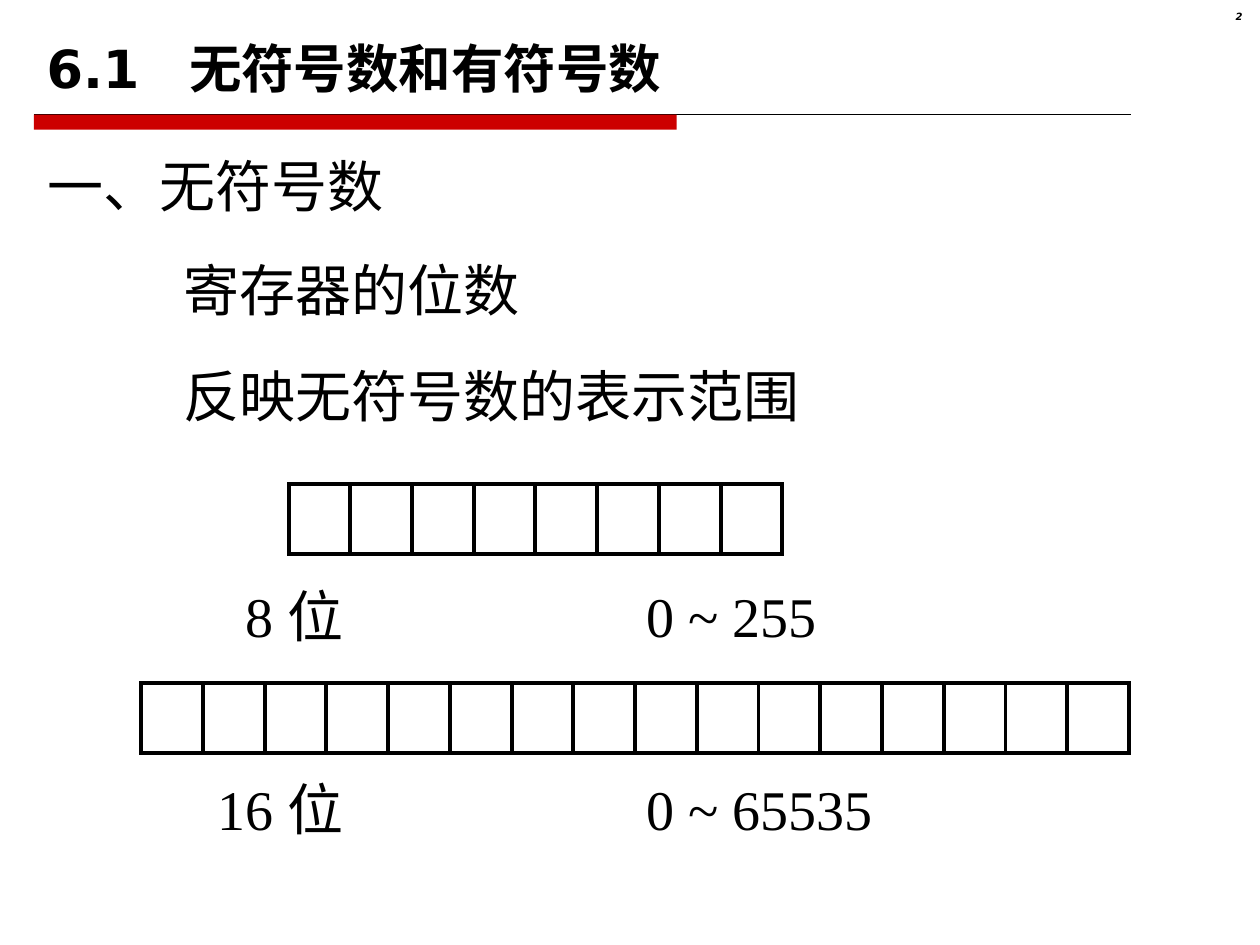
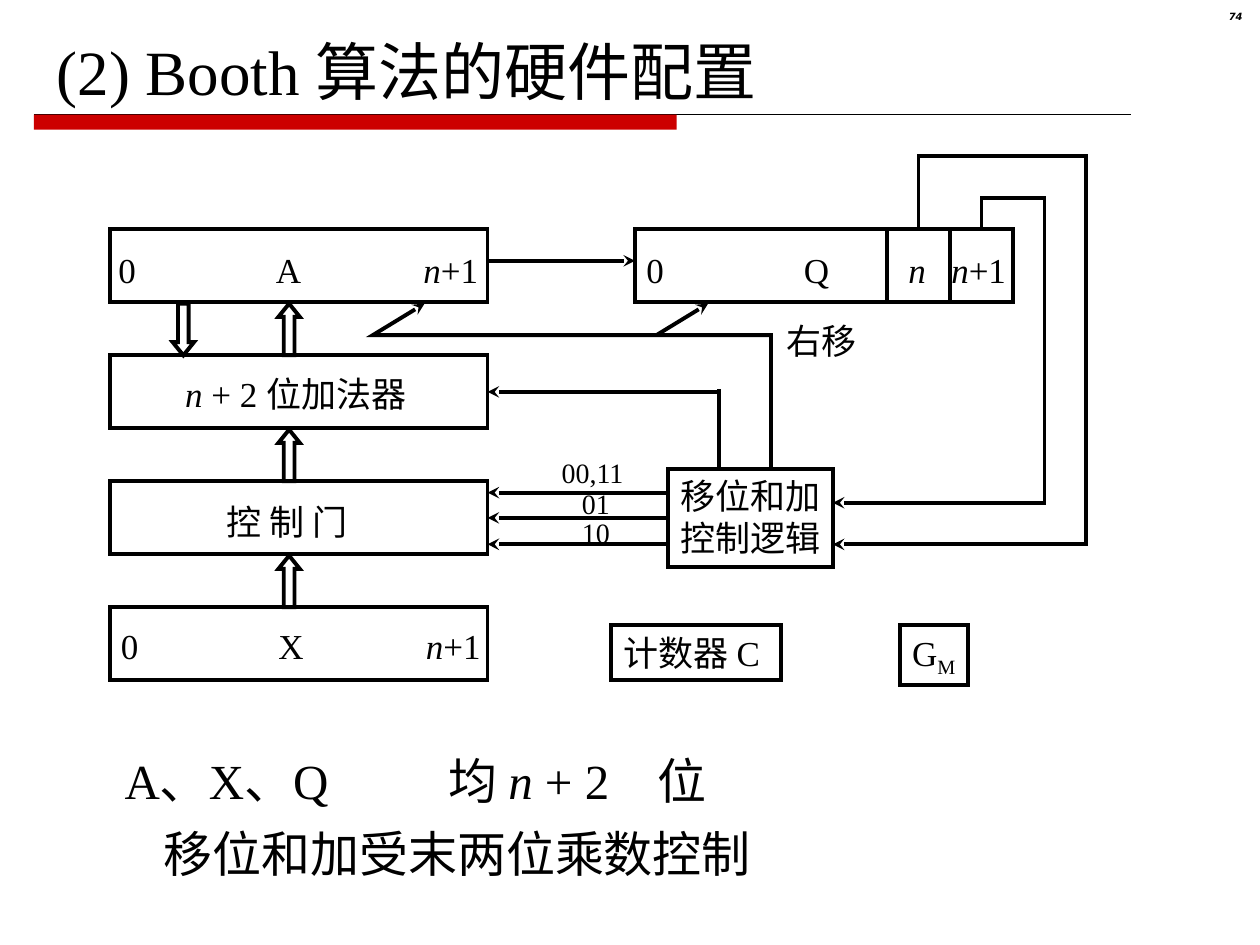
from dataclasses import dataclass

from lxml.etree import SubElement
from pptx import Presentation
from pptx.dml.color import RGBColor
from pptx.enum.shapes import MSO_CONNECTOR, MSO_SHAPE
from pptx.enum.text import MSO_ANCHOR, MSO_AUTO_SIZE, PP_ALIGN
from pptx.oxml.ns import qn
from pptx.util import Inches, Pt


@dataclass(frozen=True)
class Theme:
    """Colours, fonts and sizes that all slides share."""

    ink: RGBColor = RGBColor(0, 0, 0)
    accent: RGBColor = RGBColor(0xCC, 0, 0)
    serif: str = "Times New Roman"
    sans: str = "DejaVu Sans"
    section_title: float = 30
    topic_title: float = 36
    body: float = 32
    summary: float = 28
    label: float = 20
    code: float = 16
    number: float = 5.7
    stroke: float = 2.25
    hairline: float = 0.75


THEME = Theme()
LEFT, TOP = 0.87, 1.82
ROW_PITCH = 1.0
BOX_WIDTH, BOX_HEIGHT = 3.0, 0.58
BYTE_BITS = 8
BYTE_WIDTH, CELL_HEIGHT = 3.92, 0.56
CELL_WIDTH = BYTE_WIDTH / BYTE_BITS
Q_LEFT = 5.04
LOGIC_LEFT, LOGIC_TOP, LOGIC_WIDTH = 5.3, 3.72, 1.31
REGISTER_TABS = [(1.25, "l"), (2.42, "l")]


def inches(*values):
    """Turn numbers into a list of lengths."""
    return [Inches(value) for value in values]


def row_top(row):
    """Return the top edge of a row of the datapath."""
    return TOP + row * ROW_PITCH


def style_span(span, size, name=THEME.serif, bold=False, italic=False):
    """Format one run of text."""
    font = span.font
    font.size, font.name = Pt(size), name
    font.bold, font.italic = bold, italic
    font.color.rgb = THEME.ink


def set_tabs(para, stops):
    """Give a paragraph its tab stops, measured from the text edge."""
    tab_list = SubElement(para._p.get_or_add_pPr(), qn("a:tabLst"))
    for position, side in stops:
        SubElement(tab_list, qn("a:tab"), pos=str(Inches(position)), algn=side)


def write(box, text, size, tabs=(), name=THEME.serif, bold=False, inset=0.1):
    """Fill a box with lines of text; parts between asterisks are italic."""
    frame = box.text_frame
    frame.word_wrap = True
    frame.auto_size = MSO_AUTO_SIZE.NONE
    frame.vertical_anchor = MSO_ANCHOR.TOP
    frame.margin_left, frame.margin_right = inches(inset, 0)
    frame.margin_top = frame.margin_bottom = Inches(0.05)
    frame.text = text.replace("*", "")
    for para, line in zip(frame.paragraphs, text.split("\n")):
        para.alignment = PP_ALIGN.LEFT
        if tabs:
            set_tabs(para, tabs)
        para.text = ""
        for index, part in enumerate(line.split("*")):
            if part:
                span = para.add_run()
                span.text = part
                style_span(span, size, name, bold, index % 2 == 1)
    return frame


def add_text(page, place, text, size, **options):
    """Add a text box at left, top, width and height."""
    return write(page.shapes.add_textbox(*inches(*place)), text, size, **options)


def draw_outline(shape, width=THEME.stroke, arrow=False):
    """Give a shape or wire its ink line, with an arrowhead if asked."""
    shape.line.color.rgb = THEME.ink
    shape.line.width = Pt(width)
    line = shape._element.spPr.find(qn("a:ln"))
    SubElement(line, qn("a:miter"), lim="800000")
    if arrow:
        SubElement(line, qn("a:tailEnd"), type="stealth")


def add_box(page, place, kind=MSO_SHAPE.RECTANGLE):
    """Add an unfilled, outlined shape."""
    box = page.shapes.add_shape(kind, *inches(*place))
    box.shadow.inherit = False
    box.fill.background()
    draw_outline(box)
    return box


def add_wire(page, start, end, width=THEME.stroke, arrow=True):
    """Add a straight wire between two points."""
    wire = page.shapes.add_connector(MSO_CONNECTOR.STRAIGHT, *inches(*start, *end))
    draw_outline(wire, width, arrow)
    SubElement(wire._element.spPr, qn("a:effectLst"))
    return wire


def add_bent_wire(page, points):
    """Add a wire through several points, ending in an arrowhead."""
    start, *corners = [inches(*point) for point in points]
    builder = page.shapes.build_freeform(*start)
    builder.add_line_segments(corners, close=False)
    wire = builder.convert_to_shape()
    wire.shadow.inherit = False
    wire.fill.background()
    draw_outline(wire, arrow=True)


def add_block_arrow(page, x, row, down=False):
    """Add a hollow arrow in the gap below a row of the datapath."""
    top = row_top(row) + BOX_HEIGHT + 0.01
    arrow = add_box(page, (x, top, 0.17, ROW_PITCH - BOX_HEIGHT - 0.01),
                    MSO_SHAPE.UP_ARROW)
    arrow.adjustments[0], arrow.adjustments[1] = 0.5, 0.62
    arrow.rotation = 180 if down else 0


def add_byte(page, left, top):
    """Draw eight bit cells with their rails and dividers."""
    right, bottom = left + BYTE_WIDTH, top + CELL_HEIGHT
    edges = [left + bit * CELL_WIDTH for bit in range(BYTE_BITS + 1)]
    for edge in edges[:-1]:
        add_box(page, (edge, top, CELL_WIDTH, CELL_HEIGHT))
    for y in (top, bottom):
        add_wire(page, (left, y), (right, y), arrow=False)
    for edge in edges:
        add_wire(page, (edge, top), (edge, bottom), arrow=False)


def start_page(deck, number, title, place, size, anchor, **options):
    """Add a slide with its title, rule and page number."""
    page = deck.slides.add_slide(deck.slide_layouts[5])
    heading = page.shapes.title
    heading.left, heading.top, heading.width, heading.height = inches(*place)
    write(heading, title, size, **options).vertical_anchor = anchor
    add_wire(page, (0.27, 0.91), (8.98, 0.91), THEME.hairline, arrow=False)
    band = page.shapes.add_shape(MSO_SHAPE.RECTANGLE, *inches(0.27, 0.91, 5.1, 0.12))
    band.shadow.inherit = False
    band.fill.solid()
    band.fill.fore_color.rgb = THEME.accent
    band.line.fill.background()
    frame = add_text(page, (9.37, 0.05, 0.59, 0.23), f"*{number}*", THEME.number,
                     name=THEME.sans, bold=True)
    frame.margin_right = Inches(0.1)
    para = frame.paragraphs[0]
    para.alignment, para.line_spacing = PP_ALIGN.RIGHT, 0.8
    return page


def build_unsigned_page(deck):
    """Show the range of unsigned numbers for two register lengths."""
    page = start_page(deck, 2, "6.1\t无符号数和有符号数", (0.27, 0.13, 9.45, 0.71),
                      THEME.section_title, MSO_ANCHOR.BOTTOM,
                      name=THEME.sans, bold=True, tabs=[(1.13, "l")])
    statements = [(0.28, 1.15, "一、无符号数"), (1.36, 1.98, "寄存器的位数"),
                  (1.36, 2.82, "反映无符号数的表示范围")]
    for left, top, text in statements:
        add_text(page, (left, top, 5.83, 0.64), text, THEME.body)
    registers = [(1, 2.29, 3.84, 4.57, "0 ~ 255"), (2, 1.12, 5.42, 6.1, "0 ~ 65535")]
    for size, left, top, caption_top, span in registers:
        for index in range(size):
            add_byte(page, left + index * BYTE_WIDTH, top)
        add_text(page, (1.52, caption_top, 6.6, 0.64),
                 f"\t{size * BYTE_BITS} 位\t{span}",
                 THEME.body, tabs=[(1.11, "r"), (3.51, "l")])


def add_datapath(page):
    """Draw the stacked registers, adder and gate; return the last two."""
    stack = [add_box(page, (LEFT, row_top(row), BOX_WIDTH, BOX_HEIGHT))
             for row in range(4)]
    add_box(page, (Q_LEFT, TOP, BOX_WIDTH, BOX_HEIGHT))
    for x in (Q_LEFT + 2, Q_LEFT + 2.5):
        add_wire(page, (x, TOP), (x, TOP + BOX_HEIGHT), arrow=False)
    registers = [
        (0.94, 1.92, "0\tA\t*n*+1", REGISTER_TABS),
        (0.96, 4.91, "0\tX\t*n*+1", REGISTER_TABS),
        (5.13, 1.92, "0\tQ\t*n*\t*n*+1", [(1.25, "l"), (2.08, "l"), (2.42, "l")]),
    ]
    for left, top, text, tabs in registers:
        add_text(page, (left, top, 2.96, 0.44), text, THEME.label, tabs=tabs, inset=0)
    for left, top, text in [(1.37, 2.91, "*n* + 2 位加法器"), (1.7, 3.92, "控 制 门")]:
        add_text(page, (left, top, 2.02, 0.44), text, THEME.label)
    for row in range(3):
        add_block_arrow(page, 2.21, row)
    add_block_arrow(page, 1.37, 0, down=True)
    return stack[1], stack[2]


def add_control(page, adder, gate):
    """Draw the control logic and the wires that leave and enter it."""
    logic = add_box(page, (LOGIC_LEFT, LOGIC_TOP, LOGIC_WIDTH, 0.78))
    write(logic, "移位和加\n控制逻辑", THEME.label)
    stack_right = LEFT + BOX_WIDTH
    codes = [(3.91, 4.36, 3.57, "00,11"), (4.11, 4.52, 3.81, "01"),
             (4.32, 4.52, 4.04, "10")]
    for y, left, top, code in codes:
        wire = add_wire(page, (LOGIC_LEFT, y), (stack_right, y))
        if code == "01":
            wire.begin_connect(logic, 1)
            wire.end_connect(gate, 3)
        add_text(page, (left, top, 0.7, 0.37), code, THEME.code)
    add_wire(page, (5.71, LOGIC_TOP), (5.71, 3.09), arrow=False)
    add_wire(page, (5.71, 3.11), (stack_right, 3.11)).end_connect(adder, 3)
    add_bent_wire(page, [(6.12, LOGIC_TOP), (6.12, 2.66), (2.96, 2.66), (3.37, 2.41)])
    add_wire(page, (5.21, 2.66), (5.62, 2.41))
    add_wire(page, (stack_right, 2.07), (Q_LEFT, 2.07))
    logic_right = LOGIC_LEFT + LOGIC_WIDTH
    for x, peak, outer, y in [(7.79, 1.57, 8.29, 3.99), (7.29, 1.24, 8.62, 4.32)]:
        add_bent_wire(page, [(x, TOP), (x, peak), (outer, peak), (outer, y),
                             (logic_right, y)])
    add_text(page, (6.14, 2.49, 1.08, 0.44), "右移", THEME.label)


def build_booth_page(deck):
    """Show the hardware of the Booth algorithm."""
    page = start_page(deck, 74, "(2) Booth 算法的硬件配置", (0.35, 0.21, 7.1, 0.7),
                      THEME.topic_title, MSO_ANCHOR.TOP)
    adder, gate = add_datapath(page)
    add_control(page, adder, gate)
    write(add_box(page, (4.85, 4.96, 1.35, 0.44)), "计数器 C", THEME.label)
    sign = write(add_box(page, (7.14, 4.96, 0.54, 0.48)), "G", THEME.label)
    subscript = sign.paragraphs[0].add_run()
    subscript.text = "M"
    style_span(subscript, THEME.label)
    subscript.font._element.set("baseline", "-25000")
    add_text(page, (0.89, 5.91, 4.95, 0.57), "A、X、Q\t均 *n* + 2\t位",
             THEME.summary, tabs=[(2.57, "l"), (4.23, "l")])
    add_text(page, (1.2, 6.49, 4.95, 0.57), "移位和加受末两位乘数控制", THEME.summary)


def main():
    """Build the deck and save it."""
    deck = Presentation()
    deck.slide_width, deck.slide_height = inches(10, 7.5)
    build_unsigned_page(deck)
    build_booth_page(deck)
    deck.save("out.pptx")


if __name__ == "__main__":
    main()
